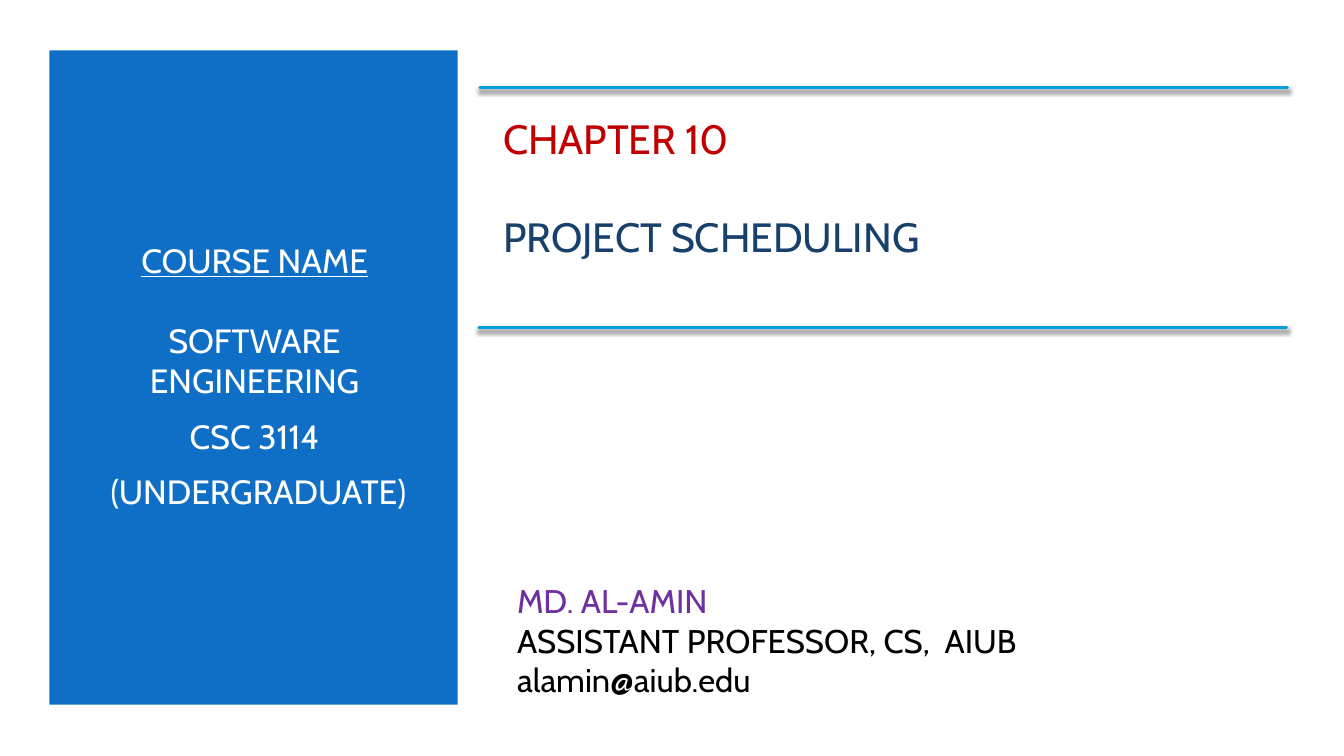
"""Build the opening slide of the project scheduling chapter."""
import pptx
import pptx.dml.color
import pptx.enum.shapes
import pptx.enum.text
import pptx.oxml
import pptx.oxml.ns
import pptx.util

WIDE, HIGH = 13.33, 7.5
FONT = "Cabin"
INK = {"panel": "0F6FC6", "rule": "009DD9", "white": "FFFFFF", "red": "C00000",
       "navy": "17406D", "plum": "7030A0", "black": "000000"}

COURSE = [[("COURSE NAME", "white"), ("SOFTWARE ENGINEERING", "white")],
          [("CSC 3114", "white")],
          [(" (UNDERGRADUATE)", "white")]]
TITLE = [[("CHAPTER 10", "red"), ("PROJECT SCHEDULING", "navy")]]
AUTHOR = [[("MD. AL-AMIN", "plum")],
          [("ASSISTANT PROFESSOR, CS,  AIUB", "black")],
          [("alamin@aiub.edu", "black")]]

PANEL = (0.49, 0.5, 4.05, 6.49)
BOXES = {"course": (0.84, 1.1, 3.37, 5.25), "title": (4.89, 1.1, 7.85, 1.51),
         "author": (5.03, 5.57, 6.66, 1.56)}
RULES = [(4.76, 0.87), (4.75, 3.25)]
SPAN = 8.01

SHADE = (f'<a:effectLst {pptx.oxml.ns.nsdecls("a")}>'
         '<a:outerShdw blurRad="38100" dist="25400" dir="5400000" rotWithShape="0">'
         '<a:srgbClr val="000000"><a:alpha val="55000"/></a:srgbClr>'
         '</a:outerShdw></a:effectLst>')


def inches(nums):
    return [pptx.util.Inches(n) for n in nums]


def tint(name):
    return pptx.dml.color.RGBColor.from_string(INK[name])


def write(shape, paras, size, align, before=0, after=0):
    frame = shape.text_frame
    frame.word_wrap = True
    frame.auto_size = pptx.enum.text.MSO_AUTO_SIZE.NONE
    frame.vertical_anchor = pptx.enum.text.MSO_ANCHOR.MIDDLE
    frame.text = "\n".join("\v\v".join(t for t, _ in runs) for runs in paras)
    for para, runs in zip(frame.paragraphs, paras):
        para.alignment = align
        para.space_before = pptx.util.Pt(before)
        para.space_after = pptx.util.Pt(after)
        para.font.size = pptx.util.Pt(size)
        for brk in para._p.findall(pptx.oxml.ns.qn("a:br")):
            props = brk.makeelement(pptx.oxml.ns.qn("a:rPr"), {"sz": str(round(size * 100))})
            brk.append(props)
            face = props.makeelement(pptx.oxml.ns.qn("a:latin"), {"typeface": FONT})
            props.append(face)
        for run, (_, name) in zip(para.runs, runs):
            run.font.name = FONT
            run.font.size = pptx.util.Pt(size)
            run.font.color.rgb = tint(name)


def main():
    deck = pptx.Presentation()
    deck.slide_width, deck.slide_height = inches((WIDE, HIGH))
    slide = deck.slides.add_slide(deck.slide_layouts[5])
    shapes = slide.shapes
    left = pptx.enum.text.PP_ALIGN.LEFT
    mid = pptx.enum.text.PP_ALIGN.CENTER

    panel = shapes.add_shape(pptx.enum.shapes.MSO_SHAPE.RECTANGLE, *inches(PANEL))
    panel.shadow.inherit = False
    panel.fill.solid()
    panel.fill.fore_color.rgb = tint("panel")
    panel.line.fill.background()

    course = shapes.add_textbox(*inches(BOXES["course"]))
    write(course, COURSE, 24, mid, before=4.8, after=6)
    course.text_frame.paragraphs[0].runs[0].font.underline = True

    title = shapes.title
    title.left, title.top, title.width, title.height = inches(BOXES["title"])
    write(title, TITLE, 29.2, left)

    for x, y in RULES:
        rule = shapes.add_connector(pptx.enum.shapes.MSO_CONNECTOR.STRAIGHT,
                                    *inches((x, y, x + SPAN, y)))
        rule.line.color.rgb = tint("rule")
        rule.line.width = pptx.util.Pt(2)
        rule.line._get_or_add_ln().set("cap", "rnd")
        rule._element.spPr.append(pptx.oxml.parse_xml(SHADE))

    author = shapes.add_textbox(*inches(BOXES["author"]))
    write(author, AUTHOR, 23.4, left)
    deck.save("out.pptx")


if __name__ == "__main__":
    main()
